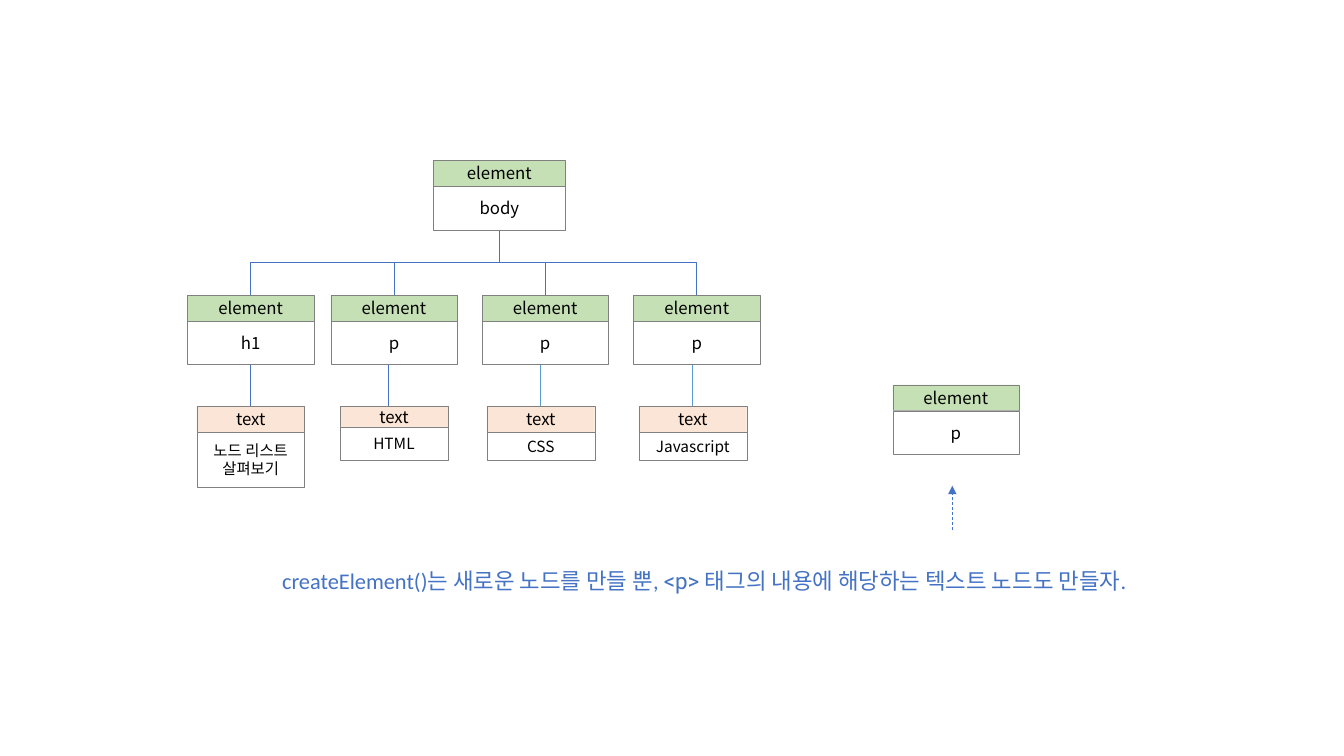
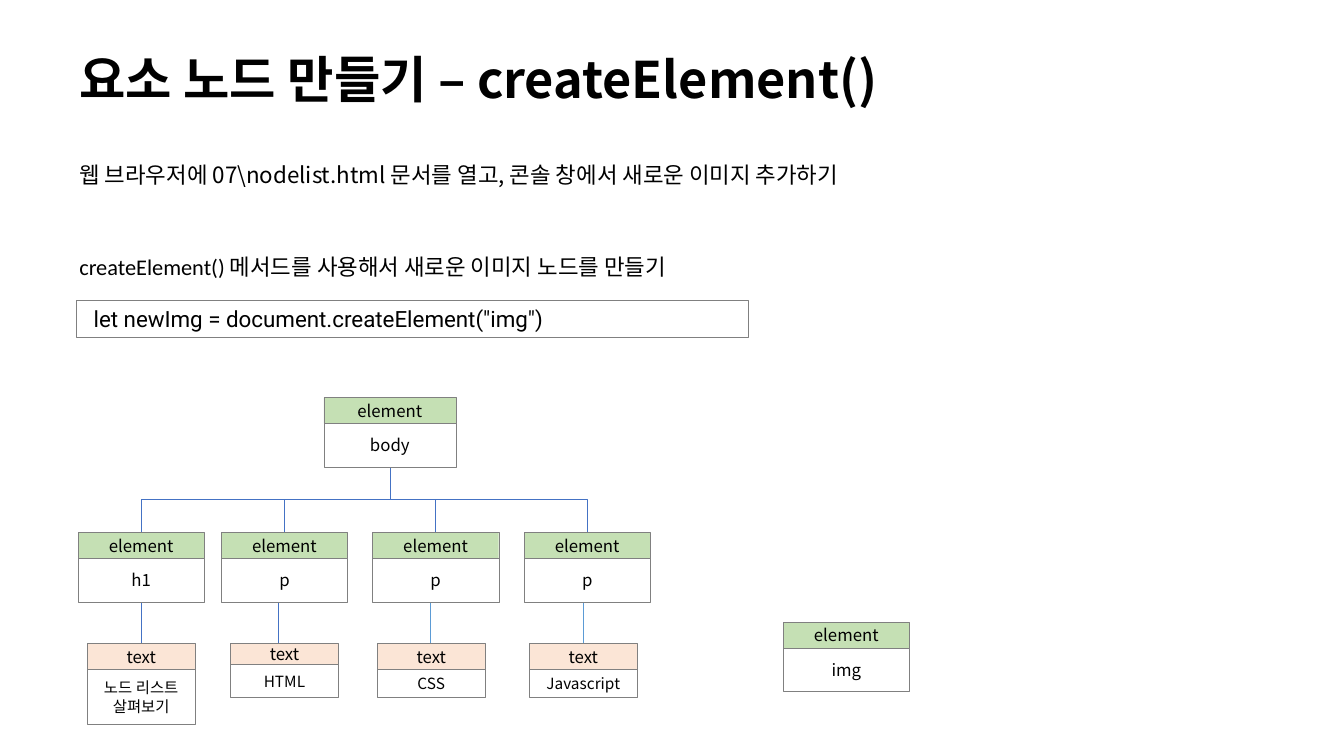
from pptx import Presentation
from pptx.dml.color import RGBColor
from pptx.enum.dml import MSO_LINE as Dash
from pptx.enum.shapes import MSO_CONNECTOR as Link, MSO_SHAPE as Form
from pptx.enum.text import MSO_ANCHOR as Anchor, PP_ALIGN as Align
from pptx.oxml.ns import qn
from pptx.util import Cm, Pt
from lxml.etree import SubElement as Sub

BLACK = RGBColor(0x00, 0x00, 0x00)
WHITE = RGBColor(0xFF, 0xFF, 0xFF)
GRAY = RGBColor(0x80, 0x80, 0x80)
GREEN = RGBColor(0xC5, 0xE0, 0xB4)
PEACH = RGBColor(0xFB, 0xE5, 0xD6)
BLUE = RGBColor(0x44, 0x72, 0xC4)
SKY = RGBColor(0x5B, 0x9B, 0xD5)
NOTO = "Noto Sans CJK KR"
CALIBRI = "Calibri"
ROBOTO = "Roboto"

HEAD = 0.65
BODY = 1.1
ROOT = (10.92, 4.04, 3.33)
WIDE = 3.18
SLIM = 2.72
KID_TOP = 7.44
LEAF_TOP = 10.24
KIDS = [
    ("h1", 4.73, "노드 리스트 살펴보기", 4.96, 6.31, HEAD, 1.38, BLUE),
    ("p", 8.34, "HTML", 8.57, 9.78, 0.52, 0.84, BLUE),
    ("p", 12.15, "CSS", 12.27, 13.61, HEAD, 0.71, SKY),
    ("p", 15.97, "Javascript", 16.1, 17.45, HEAD, 0.71, SKY),
]


def write(slide, runs, x, y, w, h, size=16, font=NOTO, color=BLACK,
          bold=False, align=Align.LEFT, anchor=Anchor.TOP, space=None,
          fill=None, edge=None, indent=0):
    place = Cm(x), Cm(y), Cm(w), Cm(h)
    if edge:
        box = slide.shapes.add_shape(Form.RECTANGLE, *place)
        box.shadow.inherit = False
        box.line.color.rgb = GRAY
        box.line.width = Pt(edge)
        if fill is None:
            box.fill.background()
        else:
            box.fill.solid()
            box.fill.fore_color.rgb = fill
    else:
        box = slide.shapes.add_textbox(*place)
    frame = box.text_frame
    frame.word_wrap = True
    frame.vertical_anchor = anchor
    para = frame.paragraphs[0]
    para.alignment = align
    para.line_spacing = space
    if indent:
        para._p.get_or_add_pPr().set("marL", str(Cm(indent)))
    for words, face in [(runs, font)] if isinstance(runs, str) else runs:
        run = para.add_run()
        run.text = words
        run.font.name = face
        run.font.size = Pt(size)
        run.font.bold = bold
        run.font.color.rgb = color
        Sub(run._r.get_or_add_rPr(), qn("a:ea")).set("typeface", NOTO)


def join(slide, x1, y1, x2, y2, color=BLUE, bent=False):
    kind = Link.STRAIGHT
    if bent:
        kind = Link.ELBOW
        side = 1 if x2 < x1 else -1
        mid_x, mid_y = (x1 + x2) / 2, (y1 + y2) / 2
        half, reach = side * (y2 - y1) / 2, abs(x2 - x1) / 2
        x1, x2 = mid_x - half, mid_x + half
        y1, y2 = mid_y - reach, mid_y + reach
    link = slide.shapes.add_connector(kind, Cm(x1), Cm(y1), Cm(x2), Cm(y2))
    link.line.color.rgb = color
    link.line.width = Pt(0.5)
    Sub(link._element.spPr, qn("a:effectLst"))
    if bent:
        turn = side * 90 % 360 * 60000
        link._element.spPr.find(qn("a:xfrm")).set("rot", str(turn))
    return link


deck = Presentation()
deck.slide_width = Cm(33.87)
deck.slide_height = Cm(19.05)
slides = []

for dx, dy, extra in [(0, 0, "p"), (-2.76, 5.98, "img")]:
    slide = deck.slides.add_slide(deck.slide_layouts[6])
    slides.append(slide)
    left, top, width = ROOT
    nodes = [
        ("element", "body", left, top, width, HEAD, BODY, GREEN, 12),
        ("element", extra, 22.5, 9.7, WIDE, HEAD, BODY, GREEN, 12),
    ]
    for tag, x, words, leaf_x, stem, head, body, color in KIDS:
        nodes.append(("element", tag, x, KID_TOP, WIDE, HEAD, BODY, GREEN, 12))
        nodes.append(("text", words, leaf_x, LEAF_TOP, SLIM, head, body, PEACH, 11))
        join(slide, left + width / 2 + dx, top + HEAD + BODY + dy,
             x + WIDE / 2 + dx, KID_TOP + dy, bent=True)
        join(slide, stem + dx, KID_TOP + HEAD + BODY + dy,
             stem + dx, LEAF_TOP + dy, color=color)
    for name, words, x, y, w, head, body, tint, size in nodes:
        for label, shift, tall, fill, pts in [(name, 0, head, tint, 12),
                                              (words, head, body, WHITE, size)]:
            write(slide, label, x + dx, y + shift + dy, w, tall, size=pts,
                  align=Align.CENTER, anchor=Anchor.MIDDLE, fill=fill, edge=0.25)

first, second = slides

write(first, [("createElement()는 새로운 노드를 만들 뿐, ", CALIBRI),
              ("<p> ", ROBOTO),
              ("태그의 내용에 해당하는 텍스트 노드도 만들자.", CALIBRI)],
      6.86, 13.82, 26.29, 1.17, color=BLUE, align=Align.JUSTIFY, space=1.5)
arrow = join(first, 24, 13.36, 24, 12.24)
arrow.line.dash_style = Dash.DASH
Sub(arrow.line._get_or_add_ln(), qn("a:tailEnd")).set("type", "triangle")

write(second, "요소 노드 만들기 – createElement()", 1.75, 0.89, 24.74, 2.34,
      size=36, bold=True, anchor=Anchor.MIDDLE, space=0.9)
write(second, r"웹 브라우저에 07\nodelist.html 문서를 열고, 콘솔 창에서 새로운 이미지 추가하기",
      1.75, 3.94, 25.02, 0.94)
write(second, "createElement() 메서드를 사용해서 새로운 이미지 노드를 만들기",
      1.75, 6.25, 22.05, 0.94, font=CALIBRI, align=Align.JUSTIFY)
write(second, 'let newImg = document.createElement("img")', 1.93, 7.57, 16.94, 0.94,
      font=ROBOTO, anchor=Anchor.MIDDLE, edge=0.75, indent=0.18)

deck.save("out.pptx")
